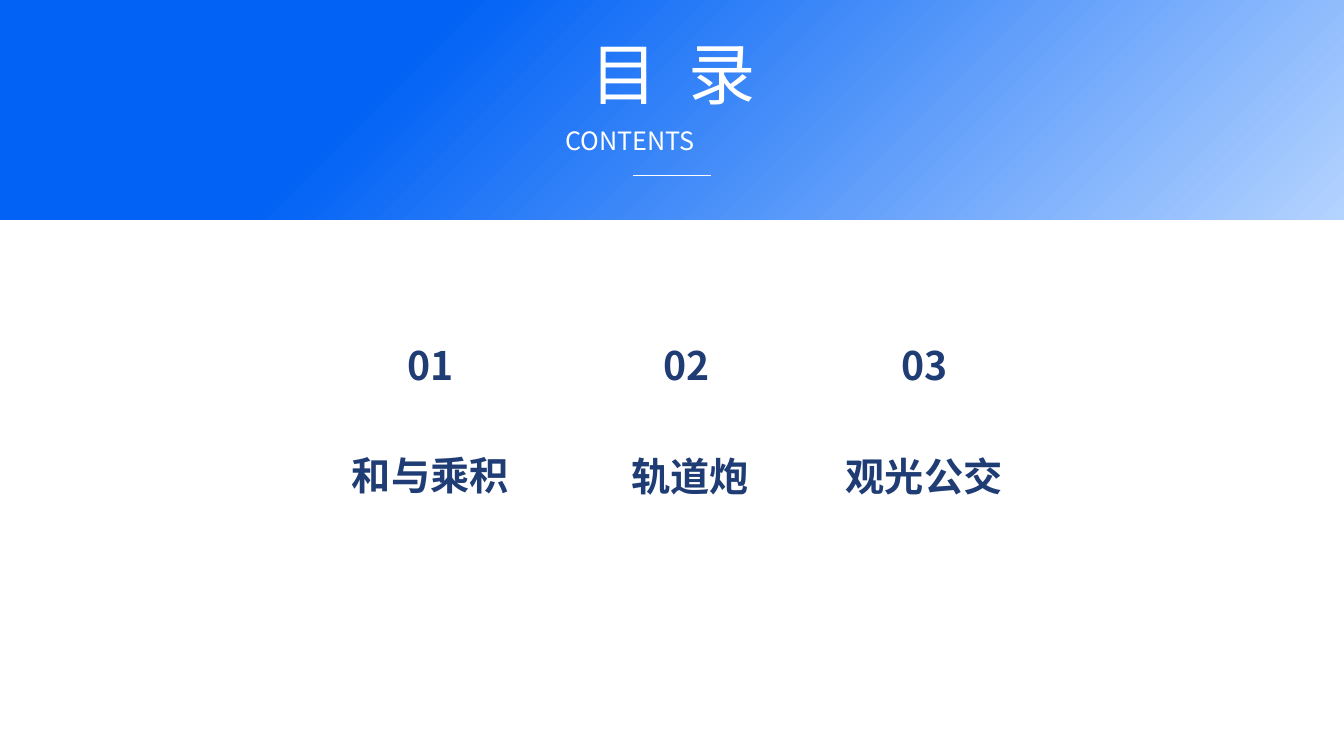
from dataclasses import dataclass

from lxml.etree import SubElement
from pptx import Presentation
from pptx.dml.color import RGBColor
from pptx.enum.shapes import MSO_CONNECTOR, MSO_SHAPE
from pptx.enum.text import MSO_ANCHOR, MSO_AUTO_SIZE, PP_ALIGN
from pptx.oxml.ns import qn
from pptx.util import Pt

EMU_PER_PX = 9144  # 100 px to the inch
SLIDE_WIDTH, SLIDE_HEIGHT = 2667, 1500
FONT = "Noto Sans CJK SC"
COLORS = {"band": "0162F5", "band_light": "B4D3FF", "heading": "FFFFFF", "item": "1F3D74"}

NUMBER_TOP, NUMBER_WIDTH = 676, 171
TOPIC_WIDTH, ITEM_HEIGHT = 464, 104


@dataclass(frozen=True)
class Box:
    left: int
    top: int
    width: int
    height: int

    def emu(self) -> tuple[int, ...]:
        return tuple(px(n) for n in (self.left, self.top, self.width, self.height))


@dataclass(frozen=True)
class TextStyle:
    size: int
    color: str
    bold: bool = False
    align: PP_ALIGN = PP_ALIGN.CENTER


@dataclass(frozen=True)
class Topic:
    title: str
    number_left: int
    title_left: int
    title_top: int


TITLE = TextStyle(96, "heading")
SUBTITLE = TextStyle(36, "heading", align=PP_ALIGN.JUSTIFY)
ITEM = TextStyle(56, "item", bold=True)

TOPICS = [
    Topic("和与乘积", 769, 622, 895),
    Topic("轨道炮", 1277, 1138, 897),
    Topic("观光公交", 1749, 1602, 897),
]


def px(length: int) -> int:
    return length * EMU_PER_PX


def rgb(name: str) -> RGBColor:
    return RGBColor.from_string(COLORS[name])


def write_text(shape, text: str, style: TextStyle) -> None:
    frame = shape.text_frame
    frame.text = text
    frame.word_wrap = True
    frame.auto_size = MSO_AUTO_SIZE.NONE
    frame.vertical_anchor = MSO_ANCHOR.MIDDLE
    frame.margin_top, frame.margin_bottom = 0, px(10)
    paragraph = frame.paragraphs[0]
    paragraph.alignment = style.align
    paragraph.space_before = Pt(0)
    font = paragraph.font
    font.name, font.size, font.bold = FONT, Pt(style.size), style.bold
    font.color.rgb = rgb(style.color)
    # The East Asian typeface has no public property
    SubElement(paragraph._p.pPr.find(qn("a:defRPr")), qn("a:ea"), typeface=FONT)


def fill_placeholder(shape, box: Box, text: str, style: TextStyle) -> None:
    shape.left, shape.top, shape.width, shape.height = box.emu()
    write_text(shape, text, style)


def add_text(slide, box: Box, text: str, style: TextStyle) -> None:
    write_text(slide.shapes.add_textbox(*box.emu()), text, style)


def add_band(slide, box: Box) -> None:
    band = slide.shapes.add_shape(MSO_SHAPE.ROUNDED_RECTANGLE, *box.emu())
    band.adjustments[0] = 0
    band.shadow.inherit = False
    band.line.fill.background()
    band.fill.gradient()
    band.fill.gradient_angle = 315
    stops = zip(band.fill.gradient_stops, [(0.3, "band"), (1, "band_light")])
    for stop, (position, color) in stops:
        stop.position = position
        stop.color.rgb = rgb(color)
    slide.shapes._spTree.insert(2, band._element)  # behind the headings


def add_rule(slide, left: int, right: int, y: int) -> None:
    rule = slide.shapes.add_connector(
        MSO_CONNECTOR.STRAIGHT, px(left), px(y), px(right), px(y))
    rule.line.color.rgb = rgb("heading")
    rule.line.width = Pt(1.75)
    SubElement(rule._element.spPr, qn("a:effectLst"))


def main() -> None:
    presentation = Presentation()
    presentation.slide_width = px(SLIDE_WIDTH)
    presentation.slide_height = px(SLIDE_HEIGHT)
    slide = presentation.slides.add_slide(presentation.slide_layouts[0])

    # Header
    add_band(slide, Box(0, -23, SLIDE_WIDTH, 459))
    title, subtitle = slide.placeholders
    fill_placeholder(title, Box(1023, 63, 625, 172), "目  录", TITLE)
    fill_placeholder(subtitle, Box(1112, 248, 443, 71), "CONTENTS", SUBTITLE)
    add_rule(slide, 1256, 1411, 349)

    # Numbered topics
    for number, topic in enumerate(TOPICS, start=1):
        number_box = Box(topic.number_left, NUMBER_TOP, NUMBER_WIDTH, ITEM_HEIGHT)
        title_box = Box(topic.title_left, topic.title_top, TOPIC_WIDTH, ITEM_HEIGHT)
        add_text(slide, number_box, f"{number:02}", ITEM)
        add_text(slide, title_box, topic.title, ITEM)

    presentation.save("out.pptx")


if __name__ == "__main__":
    main()
